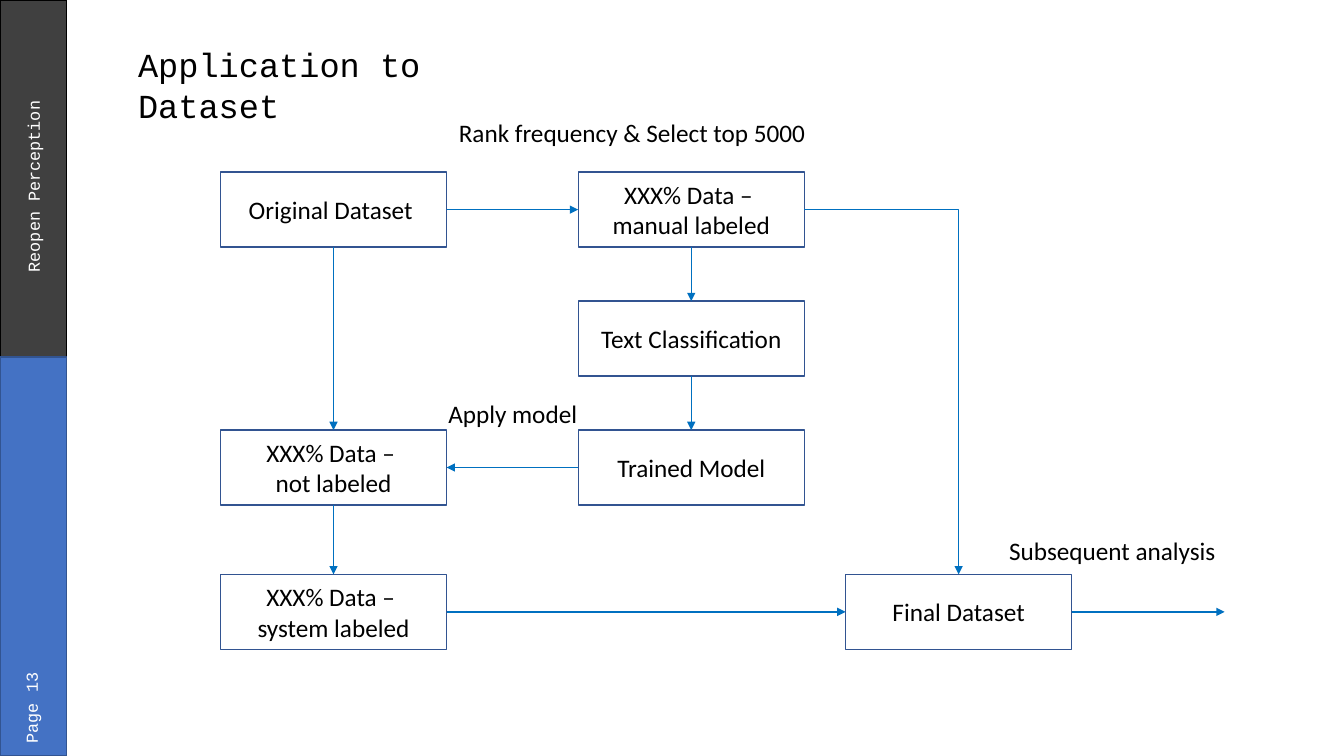
from dataclasses import dataclass

from lxml.etree import SubElement
from pptx import Presentation
from pptx.dml.color import RGBColor
from pptx.enum.shapes import MSO_CONNECTOR, MSO_SHAPE
from pptx.enum.text import MSO_ANCHOR, PP_ALIGN
from pptx.oxml.ns import qn
from pptx.util import Pt


@dataclass(frozen=True)
class Theme:
    black: RGBColor = RGBColor(0, 0, 0)
    white: RGBColor = RGBColor(255, 255, 255)
    charcoal: RGBColor = RGBColor(0x40, 0x40, 0x40)
    blue: RGBColor = RGBColor(0x44, 0x72, 0xC4)
    outline: RGBColor = RGBColor(0x32, 0x54, 0x91)
    arrow: RGBColor = RGBColor(0x00, 0x70, 0xC0)
    heading_font: str = "Courier New"
    body_font: str = "Calibri"
    title_size: int = 24
    body_size: int = 18
    side_size: int = 12


THEME = Theme()
TOP, LEFT, BOTTOM, RIGHT = range(4)


def write(shape, lines, font, size, color, align, wrap=True):
    frame = shape.text_frame
    frame.word_wrap = wrap
    frame.text = "\n".join(lines)
    for paragraph in frame.paragraphs:
        paragraph.alignment = align
        paragraph.font.name = font
        paragraph.font.size = Pt(size)
        paragraph.font.color.rgb = color


def add_box(slide, left, top, width, height, outline, fill=None):
    box = slide.shapes.add_shape(
        MSO_SHAPE.RECTANGLE, Pt(left), Pt(top), Pt(width), Pt(height))
    box.shadow.inherit = False
    if fill is None:
        box.fill.background()
    else:
        box.fill.solid()
        box.fill.fore_color.rgb = fill
    box.line.color.rgb = outline
    box.line.width = Pt(1)
    return box


def add_label(slide, text, left, top, width):
    label = slide.shapes.add_textbox(Pt(left), Pt(top), Pt(width), Pt(29))
    write(label, [text], THEME.body_font, THEME.body_size, THEME.black,
          PP_ALIGN.CENTER, wrap=False)


def add_arrow(slide, source, source_side, target=None, target_side=None,
              end=(0, 0), elbow=False):
    kind = MSO_CONNECTOR.ELBOW if elbow else MSO_CONNECTOR.STRAIGHT
    arrow = slide.shapes.add_connector(kind, 0, 0, Pt(end[0]), Pt(end[1]))
    arrow.begin_connect(source, source_side)
    if target is not None:
        arrow.end_connect(target, target_side)
    arrow.line.color.rgb = THEME.arrow
    arrow.line.width = Pt(0.5 if elbow else 1)
    properties = arrow._element.spPr
    if elbow:  # one corner only
        properties.find(qn("a:prstGeom")).set("prst", "bentConnector2")
    SubElement(properties.find(qn("a:ln")), qn("a:tailEnd"), type="triangle")
    SubElement(properties, qn("a:effectLst"))


def add_sidebar(slide, left, top, width, height):
    split = 255
    add_box(slide, left, top, width, split, THEME.black, THEME.charcoal)
    add_box(slide, left, top + split, width, height - split,
            THEME.outline, THEME.blue)

    # Vertical captions, each given by its centre and length
    for text, center_x, center_y, length in (
            ("Page 13", 22.2, 507, 67), ("Reopen Perception", 23.6, 160, 190)):
        caption = slide.shapes.add_textbox(
            Pt(left + center_x - length / 2), Pt(top + center_y - 14.5),
            Pt(length), Pt(29))
        caption.rotation = 270
        caption.text_frame.vertical_anchor = MSO_ANCHOR.MIDDLE
        write(caption, [text], THEME.heading_font, THEME.side_size,
              THEME.white, PP_ALIGN.RIGHT)


def add_title(slide, left, top, width, height):
    title = slide.shapes.add_textbox(
        Pt(left), Pt(top), Pt(width), Pt(height))
    write(title, ["Application to Dataset"], THEME.heading_font,
          THEME.title_size, THEME.black, PP_ALIGN.LEFT)


def add_flowchart(slide, left, top):
    step_width, step_height = 161.5, 53.5
    columns = [left, left + 255.5, left + 446.5]
    rows = [top, top + 92.1, top + 184.2, top + 287.3]

    def step(column, row, *lines):
        box = add_box(slide, columns[column], rows[row],
                      step_width, step_height, THEME.outline)
        box.text_frame.vertical_anchor = MSO_ANCHOR.MIDDLE
        write(box, lines, THEME.body_font, THEME.body_size, THEME.black,
              PP_ALIGN.CENTER)
        return box

    # Steps
    original = step(0, 0, "Original Dataset ")
    manual = step(1, 0, "XXX% Data – ", "manual labeled")
    classification = step(1, 1, "Text Classification")
    trained = step(1, 2, "Trained Model")
    unlabeled = step(0, 2, "XXX% Data – ", "not labeled")
    system = step(0, 3, "XXX% Data – ", "system labeled")
    final = step(2, 3, "Final Dataset")

    # Flow between steps
    for source, source_side, target, target_side in (
            (manual, BOTTOM, classification, TOP),
            (classification, BOTTOM, trained, TOP),
            (original, RIGHT, manual, LEFT),
            (original, BOTTOM, unlabeled, TOP),
            (trained, LEFT, unlabeled, RIGHT),
            (unlabeled, BOTTOM, system, TOP),
            (system, RIGHT, final, LEFT)):
        add_arrow(slide, source, source_side, target, target_side)
    add_arrow(slide, manual, RIGHT, final, TOP, elbow=True)
    add_arrow(slide, final, RIGHT,
              end=(left + 717.3, rows[3] + step_height / 2))

    # Notes beside the arrows
    add_label(slide, "Rank frequency & Select top 5000 ",
              left + 161.5, top - 42.5, 269)
    add_label(slide, "Apply model", left + 153, rows[2] - 26.5, 111.5)
    add_label(slide, "Subsequent analysis", left + 555.3, rows[3] - 31.7, 163.5)


def main():
    deck = Presentation()
    deck.slide_width, deck.slide_height = Pt(960), Pt(540)
    slide = deck.slides.add_slide(deck.slide_layouts[6])
    add_sidebar(slide, 0, 0, 47.5, 540)
    add_title(slide, 91.5, 28, 250.5, 36)
    add_flowchart(slide, 157.5, 123)
    deck.save("out.pptx")


if __name__ == "__main__":
    main()
